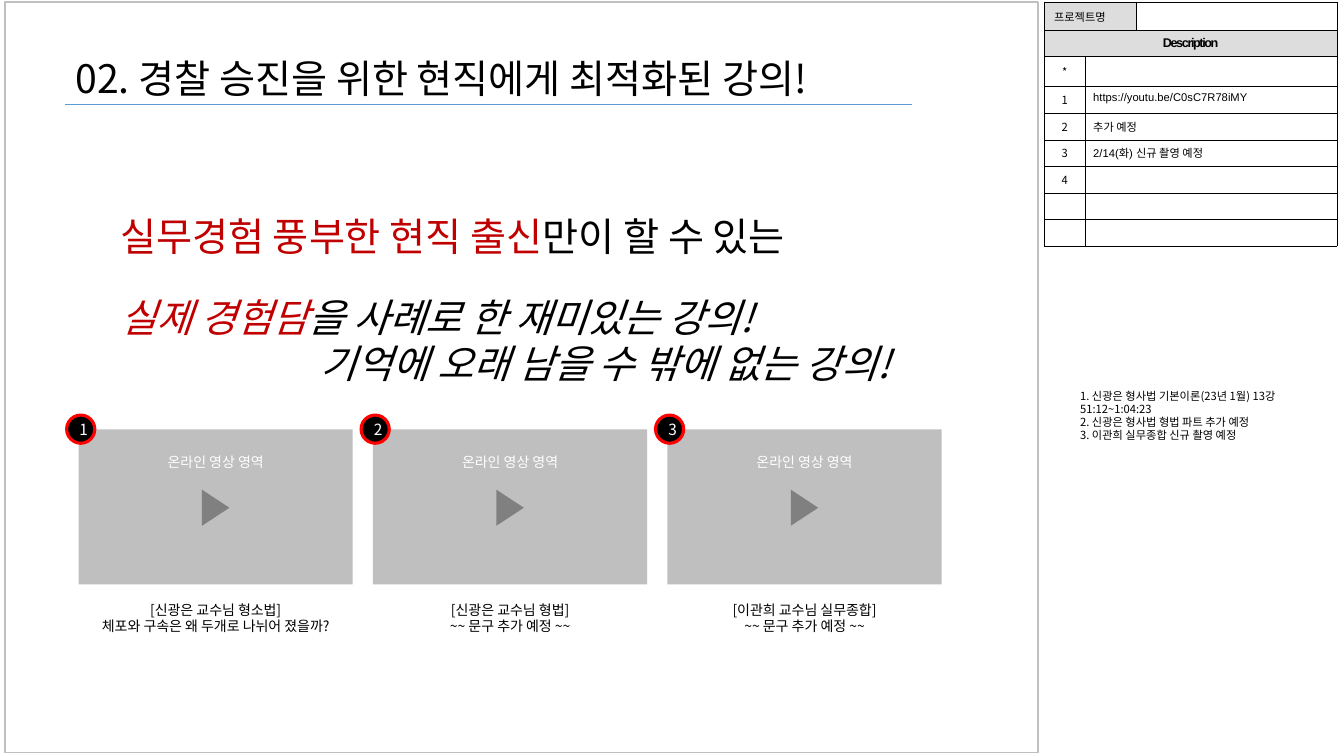
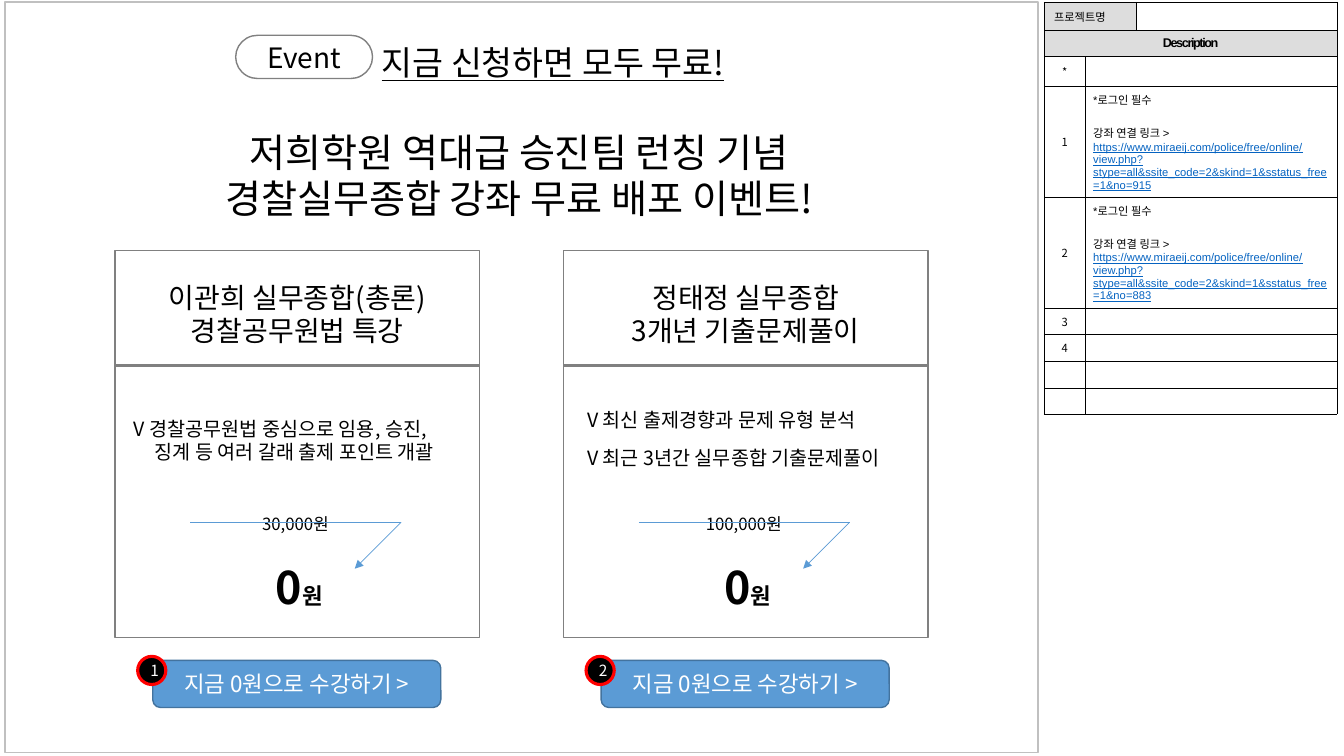
from lxml.etree import SubElement
from pptx import Presentation
from pptx.dml.color import RGBColor
from pptx.enum.shapes import MSO_CONNECTOR, MSO_SHAPE
from pptx.enum.text import MSO_ANCHOR, PP_ALIGN
from pptx.oxml.ns import qn
from pptx.util import Cm, Pt

KOREAN, LATIN = "Noto Sans CJK KR", "Arial"
BLACK, WHITE, RED, ACCENT = "000000", "FFFFFF", "C00000", "5B9BD5"
OUTLINE, FRAME, HEADER, LINK = "808080", "C0C0C0", "DDDDDD", "0563C1"
LINE_HEIGHT = 1.18
BASELINE_SHIFT = 0.1
LEFT, CENTER = PP_ALIGN.LEFT, PP_ALIGN.CENTER


def rgb(value):
    return RGBColor.from_string(value)


def style(span, size, color=BLACK, name=KOREAN, bold=False, italic=False, underline=False):
    font = span.font
    font.size, font.name = Pt(size), name
    font.bold, font.italic, font.underline = bold, italic, underline
    font.color.rgb = rgb(color)
    SubElement(span._r.get_or_add_rPr(), qn("a:ea"), typeface=KOREAN)


def write(frame, lines, size, align=LEFT, **look):
    """Fill a frame; a line is a string or a list of (text, style changes)."""
    for index, line in enumerate(lines):
        para = frame.paragraphs[0] if index == 0 else frame.add_paragraph()
        para.alignment = align
        spans = [(line, {})] if isinstance(line, str) else line
        for text, changes in spans:
            span = para.add_run()
            span.text = text
            style(span, **{"size": size, **look, **changes})


def add_text(page, x, y, width, height, lines, size, align=LEFT, **look):
    """Add a text box with fixed line height and return its paragraphs."""
    box = page.shapes.add_textbox(Cm(x), Cm(y), Cm(width), Cm(height))
    frame = box.text_frame
    frame.word_wrap = True
    frame.margin_top = Cm(0.13) + Pt(size * BASELINE_SHIFT)
    write(frame, lines, size, align, **look)
    for para in frame.paragraphs:
        para.line_spacing = Pt(size * LINE_HEIGHT)
    return frame.paragraphs


def indent(para, length):
    para._p.get_or_add_pPr().set("marL", str(Cm(length)))


def add_box(page, kind, x, y, width, height, fill=None, line=None, weight=1):
    box = page.shapes.add_shape(kind, Cm(x), Cm(y), Cm(width), Cm(height))
    box.shadow.inherit = False
    if fill:
        box.fill.solid()
        box.fill.fore_color.rgb = rgb(fill)
    else:
        box.fill.background()
    if line:
        box.line.color.rgb = rgb(line)
        box.line.width = Pt(weight)
    else:
        box.line.fill.background()
    return box


def label(box, text, size, color=WHITE):
    box.text_frame.vertical_anchor = MSO_ANCHOR.MIDDLE
    write(box.text_frame, [text], size, CENTER, color=color)


def add_line(page, x1, y1, x2, y2, arrow=False):
    line = page.shapes.add_connector(MSO_CONNECTOR.STRAIGHT, Cm(x1), Cm(y1), Cm(x2), Cm(y2))
    line.line.color.rgb = rgb(ACCENT)
    line.line.width = Pt(0.5)
    if arrow:
        SubElement(line.line._get_or_add_ln(), qn("a:tailEnd"), type="triangle")
    SubElement(line._element.spPr, qn("a:effectLst"))


def add_badge(page, x, y, number):
    badge = add_box(page, MSO_SHAPE.OVAL, x, y, 0.71, 0.71, BLACK, "FF0000", 2.25)
    frame = badge.text_frame
    frame.word_wrap = False
    frame.margin_left = Cm(0.15)
    frame.margin_right = frame.margin_top = frame.margin_bottom = 0
    label(badge, str(number), 11)


def format_cell(cell, fill):
    properties = cell._tc.get_or_add_tcPr()
    for side in ("lnL", "lnR", "lnT", "lnB"):
        border = SubElement(properties, qn(f"a:{side}"), w=str(Pt(0.25)))
        solid = SubElement(border, qn("a:solidFill"))
        SubElement(solid, qn("a:srgbClr"), val=BLACK)
    cell.fill.solid()
    cell.fill.fore_color.rgb = rgb(fill)


def add_description(page, notes):
    """Add the description table; notes maps a marker to its lines."""
    markers = ["*", "1", "2", "3", "4", "", ""]
    heights = [0.71, 0.66, 0.76]
    heights += [2.79 if len(notes.get(marker, [])) > 1 else 0.67 for marker in markers[1:]]
    widths = [1.04, 1.27, 5.08]
    table = page.shapes.add_table(
        len(heights), len(widths), Cm(26.31), Cm(0.05), Cm(sum(widths)), Cm(sum(heights))
    ).table
    table.first_row = table.horz_banding = False
    for column, width in zip(table.columns, widths):
        column.width = Cm(width)
    for index, (row, height) in enumerate(zip(table.rows, heights)):
        row.height = Cm(height)
        for column, cell in enumerate(row.cells):
            shaded = index == 1 or (index == 0 and column < 2)
            format_cell(cell, HEADER if shaded else WHITE)
            cell.vertical_anchor = MSO_ANCHOR.MIDDLE
    table.cell(0, 0).merge(table.cell(0, 1))
    table.cell(1, 0).merge(table.cell(1, 2))
    write(table.cell(0, 0).text_frame, ["프로젝트명"], 8)
    heading = table.cell(1, 0).text_frame
    write(heading, ["Description"], 9, CENTER, name=LATIN, bold=True)
    heading.paragraphs[0].runs[0]._r.get_or_add_rPr().set("spc", "-100")
    for index, marker in enumerate(markers, start=2):
        number, note = table.cell(index, 0), table.cell(index, 1)
        note.merge(table.cell(index, 2))
        note.vertical_anchor = MSO_ANCHOR.TOP
        number.margin_left = number.margin_right = Cm(0.1)
        note.margin_left = note.margin_right = Cm(0.2)
        if marker:
            write(number.text_frame, [marker], 8, CENTER)
        write(note.text_frame, notes.get(marker, []), 8, name=LATIN)
        if len(note.text_frame.paragraphs) > 1:
            note.text_frame.paragraphs[1].space_before = Pt(12)
    for row in table.rows:
        for cell in row.cells:
            para = cell.text_frame.paragraphs[0]
            if not para.runs:
                SubElement(para._p, qn("a:endParaRPr"), sz="800")


def add_page(deck, notes):
    page = deck.slides.add_slide(deck.slide_layouts[6])
    add_box(page, MSO_SHAPE.RECTANGLE, 0.13, 0.05, 26.03, 18.92, line=FRAME)
    add_description(page, notes)
    return page


def add_video(page, x, number, caption):
    top, width = 10.82, 6.91
    area = add_box(page, MSO_SHAPE.RECTANGLE, x, top, width, 3.91, "BFBFBF")
    label(area, "온라인 영상 영역", 10)
    area.text_frame.vertical_anchor = MSO_ANCHOR.TOP
    area.text_frame.margin_top = Cm(0.6)
    play = add_box(page, MSO_SHAPE.ISOSCELES_TRIANGLE, x + 3, 12.45, 0.91, 0.69, OUTLINE)
    play.rotation = 90
    add_text(page, x, 14.99, width, 1.12, caption, 10, CENTER)
    add_badge(page, x - 0.3, top - 0.36, number)


def add_course(page, x, number, title, price):
    width, middle = 9.19, 13.16
    add_box(page, MSO_SHAPE.RECTANGLE, x, 6.32, width, 2.9, line=OUTLINE)
    add_box(page, MSO_SHAPE.RECTANGLE, x, 9.2, width, 6.86, line=OUTLINE)
    add_text(page, x, 6.88, width, 1.96, title, 20, CENTER)
    add_text(page, x, 12.78, width - 0.1, 0.76, [price], 12, CENTER)
    add_line(page, x + 1.9, middle, x + 7.21, middle)
    add_line(page, x + 7.21, middle, x + 6.04, middle + 1.17, arrow=True)
    free = [("0", {}), ("원", {"size": 16})]
    add_text(page, x, 13.89, width + 0.1, 1.63, [free], 32, CENTER, bold=True)
    button = add_box(page, MSO_SHAPE.ROUNDED_RECTANGLE, x + 0.95, 16.64, 7.26, 1.19, ACCENT, "43739E")
    label(button, "지금 0원으로 수강하기 >", 16)
    add_badge(page, x + 0.57, 16.54, number)


def build_lecture_page(deck):
    page = add_page(deck, {
        "1": ["https://youtu.be/C0sC7R78iMY"],
        "2": ["추가 예정"],
        "3": ["2/14(화) 신규 촬영 예정"],
    })
    add_text(page, 1.65, 1.17, 21.26, 1.45, ["02. 경찰 승진을 위한 현직에게 최적화된 강의!"], 28)
    add_line(page, 1.65, 2.62, 22.99, 2.62)
    italic = {"italic": True}
    slogan = add_text(page, 1.98, 5.13, 23.32, 4.7, [
        [("실무경험 풍부한 현직 출신", {"color": RED}), ("만이 할 수 있는", {})],
        [("실제 경험담", {"color": RED, **italic}), ("을 사례로 한 재미있는 강의!", italic)],
        [("기억에 오래 남을 수 밖에 없는 강의!", italic)],
    ], 28)
    slogan[1].space_before = Pt(25)
    for para, length in zip(slogan, (0.8, 0.8, 5.85)):
        indent(para, length)
    pending = "~~ 문구 추가 예정 ~~"
    captions = [
        ["[신광은 교수님 형소법]", "체포와 구속은 왜 두개로 나뉘어 졌을까?"],
        ["[신광은 교수님 형법]", pending],
        ["[이관희 교수님 실무종합]", pending],
    ]
    for index, caption in enumerate(captions):
        add_video(page, 1.98 + 7.42 * index, index + 1, caption)
    add_text(page, 26.97, 9.65, 6.88, 1.63, [
        "1. 신광은 형사법 기본이론(23년 1월) 13강 51:12~1:04:23",
        "2. 신광은 형사법 형법 파트 추가 예정",
        "3. 이관희 실무종합 신규 촬영 예정",
    ], 8)


def course_note(number):
    address = (
        "https://www.miraeij.com/police/free/online/view.php"
        f"?stype=all&ssite_code=2&skind=1&sstatus_free=1&no={number}"
    )
    return ["*로그인 필수", "강좌 연결 링크 >", [(address, {"color": LINK, "underline": True})]]


def build_event_page(deck):
    page = add_page(deck, {"1": course_note(915), "2": course_note(883)})
    event = add_box(page, MSO_SHAPE.FLOWCHART_TERMINATOR, 5.94, 0.89, 3.45, 1.09, line=OUTLINE)
    label(event, "Event", 20, BLACK)
    add_text(page, 9.37, 0.86, 11, 1.27, ["지금 신청하면 모두 무료!"], 24, underline=True)
    add_text(page, 2.41, 3.02, 21.34, 2.64, [
        "저희학원 역대급 승진팀 런칭 기념",
        "경찰실무종합 강좌 무료 배포 이벤트!",
    ], 28, CENTER)
    courses = [
        (["이관희 실무종합(총론)", "경찰공무원법 특강"], "30,000원"),
        (["정태정 실무종합", "3개년 기출문제풀이"], "100,000원"),
    ]
    for index, (title, price) in enumerate(courses):
        add_course(page, 2.9 + 11.3 * index, index + 1, title, price)
    points = add_text(page, 3.12, 10.34, 8.99, 1.45, [
        "V 경찰공무원법 중심으로 임용, 승진,",
        "징계 등 여러 갈래 출제 포인트 개괄",
    ], 14)
    indent(points[1], 0.53)
    points = add_text(page, 14.55, 10.11, 8.99, 1.83, [
        "V 최신 출제경향과 문제 유형 분석",
        "V 최근 3년간 실무종합 기출문제풀이",
    ], 14)
    points[1].space_before = Pt(10.5)


def main():
    deck = Presentation()
    deck.slide_width, deck.slide_height = Cm(33.87), Cm(19.05)
    build_lecture_page(deck)
    build_event_page(deck)
    deck.save("out.pptx")


if __name__ == "__main__":
    main()
